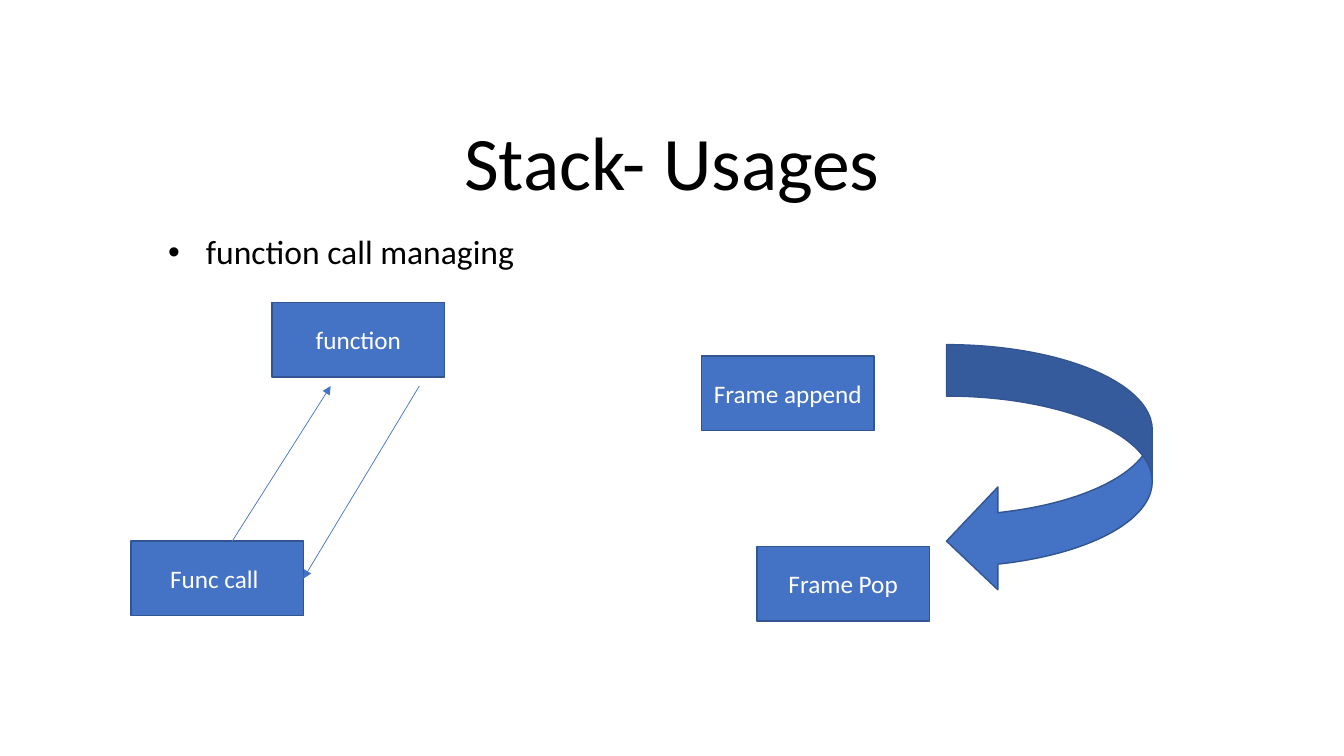
import pptx
import pptx.dml.color
import pptx.enum.shapes
import pptx.enum.text
import pptx.util
from lxml import etree
from pptx.oxml.ns import qn

Pt = pptx.util.Pt
SHAPES = pptx.enum.shapes.MSO_SHAPE
ALIGN = pptx.enum.text.PP_ALIGN
ANCHOR = pptx.enum.text.MSO_ANCHOR

BLUE, OUTLINE, BLACK, WHITE = "4472C4", "325491", "000000", "FFFFFF"
STEP_WIDTH, STEP_HEIGHT = 123.1, 53.3


def color(hex_value):
    return pptx.dml.color.RGBColor.from_string(hex_value)


def write(frame, words, size, hex_value, align, anchor):
    """Fill a text frame with one paragraph and return the paragraph."""
    frame.word_wrap = True
    frame.vertical_anchor = anchor
    paragraph = frame.paragraphs[0]
    paragraph.alignment = align
    run = paragraph.add_run()
    run.text = words
    run.font.name = "Calibri"
    run.font.size = Pt(size)
    run.font.color.rgb = color(hex_value)
    return paragraph


def add_title(slide, left, top, width, height):
    title = slide.shapes.add_textbox(Pt(left), Pt(top), Pt(width), Pt(height))
    paragraph = write(title.text_frame, "Stack- Usages", 54, BLACK,
                      ALIGN.CENTER, ANCHOR.BOTTOM)
    paragraph.line_spacing = 0.9


def add_topic(slide, left, top, width, height):
    topic = slide.shapes.add_textbox(Pt(left), Pt(top), Pt(width), Pt(height))
    paragraph = write(topic.text_frame, "function call managing", 24, BLACK,
                      ALIGN.JUSTIFY, ANCHOR.TOP)
    paragraph.line_spacing = 0.9
    paragraph.space_before = Pt(10)
    properties = paragraph._p.get_or_add_pPr()
    properties.set("marL", str(Pt(27)))
    properties.set("indent", str(Pt(-27)))
    etree.SubElement(properties, qn("a:buFont"), typeface="Arial")
    etree.SubElement(properties, qn("a:buChar"), char="•")


def add_block(slide, preset, left, top, width, height):
    block = slide.shapes.add_shape(preset, Pt(left), Pt(top), Pt(width), Pt(height))
    block.shadow.inherit = False
    block.fill.solid()
    block.fill.fore_color.rgb = color(BLUE)
    block.line.color.rgb = color(OUTLINE)
    block.line.width = Pt(1)
    return block


def add_step(slide, words, left, top):
    step = add_block(slide, SHAPES.RECTANGLE, left, top, STEP_WIDTH, STEP_HEIGHT)
    write(step.text_frame, words, 18, WHITE, ALIGN.CENTER, ANCHOR.MIDDLE)


def add_arrow(slide, start, end):
    arrow = slide.shapes.add_connector(
        pptx.enum.shapes.MSO_CONNECTOR.STRAIGHT, *map(Pt, start + end))
    arrow.line.color.rgb = color(BLUE)
    arrow.line.width = Pt(0.5)
    etree.SubElement(arrow.line._get_or_add_ln(), qn("a:tailEnd"), type="triangle")
    etree.SubElement(arrow._element.spPr, qn("a:effectLst"))


def add_call_flow(slide, left, top, width, height):
    """Function at the top right, its caller at the bottom left, arrows between."""
    right, bottom = left + width, top + height
    arrows_top = top + 59.8
    caller_top = bottom - STEP_HEIGHT
    add_step(slide, "function", right - STEP_WIDTH, top)
    add_step(slide, "Func call ", left, caller_top)
    add_arrow(slide, (left + 71.3, caller_top + 1.5), (left + 142.6, arrows_top))
    add_arrow(slide, (right - 18, arrows_top),
              (left + STEP_WIDTH, caller_top + STEP_HEIGHT / 2))


def add_frame_flow(slide, left, top, width, height):
    """Frame append above frame pop, with a curved arrow on the right."""
    arrow_width = 147
    add_step(slide, "Frame append", left, top + 8)
    add_block(slide, SHAPES.CURVED_LEFT_ARROW, left + width - arrow_width, top,
              arrow_width, 177.1)
    add_step(slide, "Frame Pop", left + 39.6, top + height - STEP_HEIGHT)


def main():
    deck = pptx.Presentation()
    deck.slide_width, deck.slide_height = Pt(960), Pt(540)
    slide = deck.slides.add_slide(deck.slide_layouts[6])
    add_title(slide, 120, 88.5, 720, 62.5)
    add_topic(slide, 113, 165, 727, 296.5)
    add_call_flow(slide, 93.6, 216, 223.9, 223.9)
    add_frame_flow(slide, 501.1, 246.2, 322, 197.5)
    deck.save("out.pptx")


if __name__ == "__main__":
    main()
